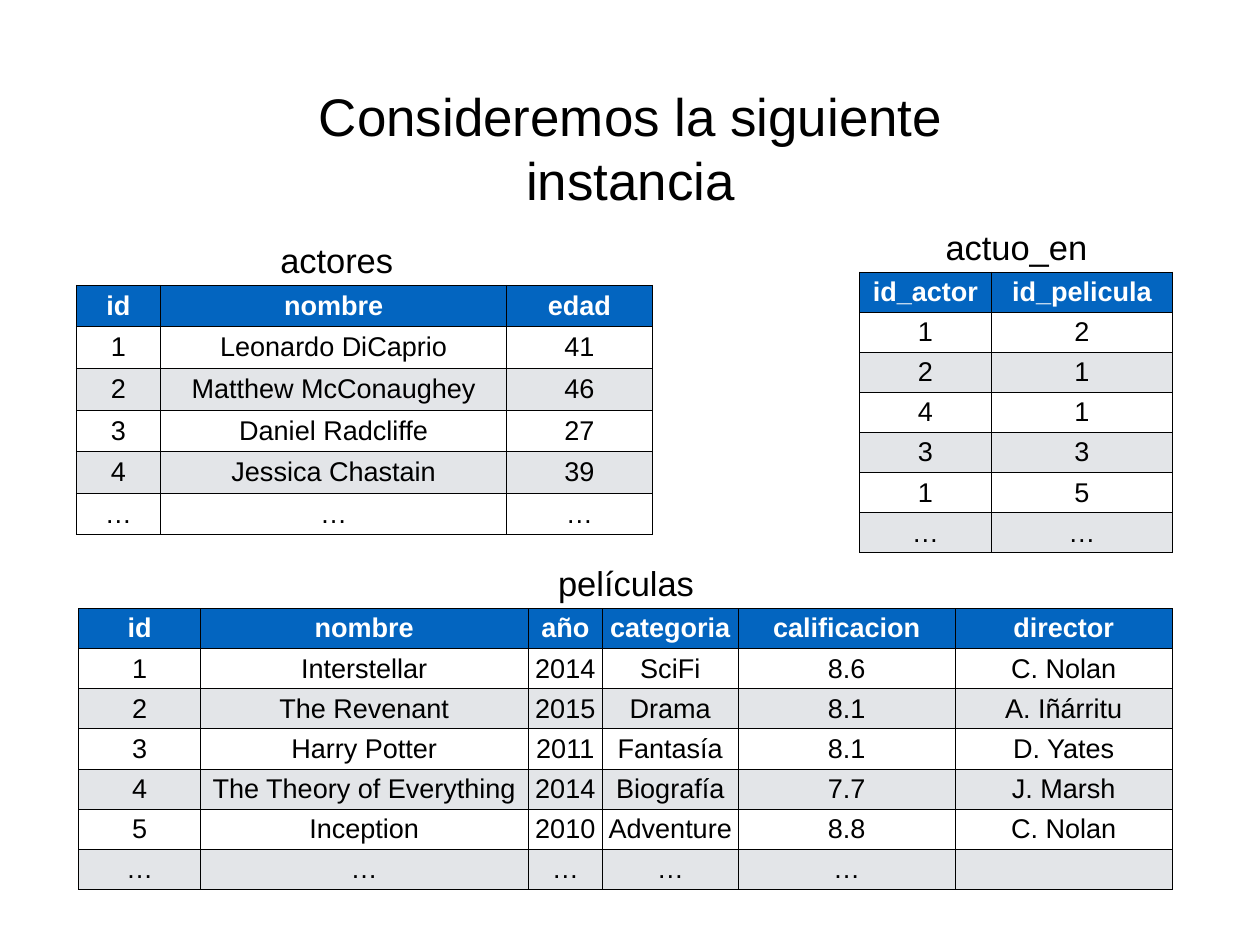
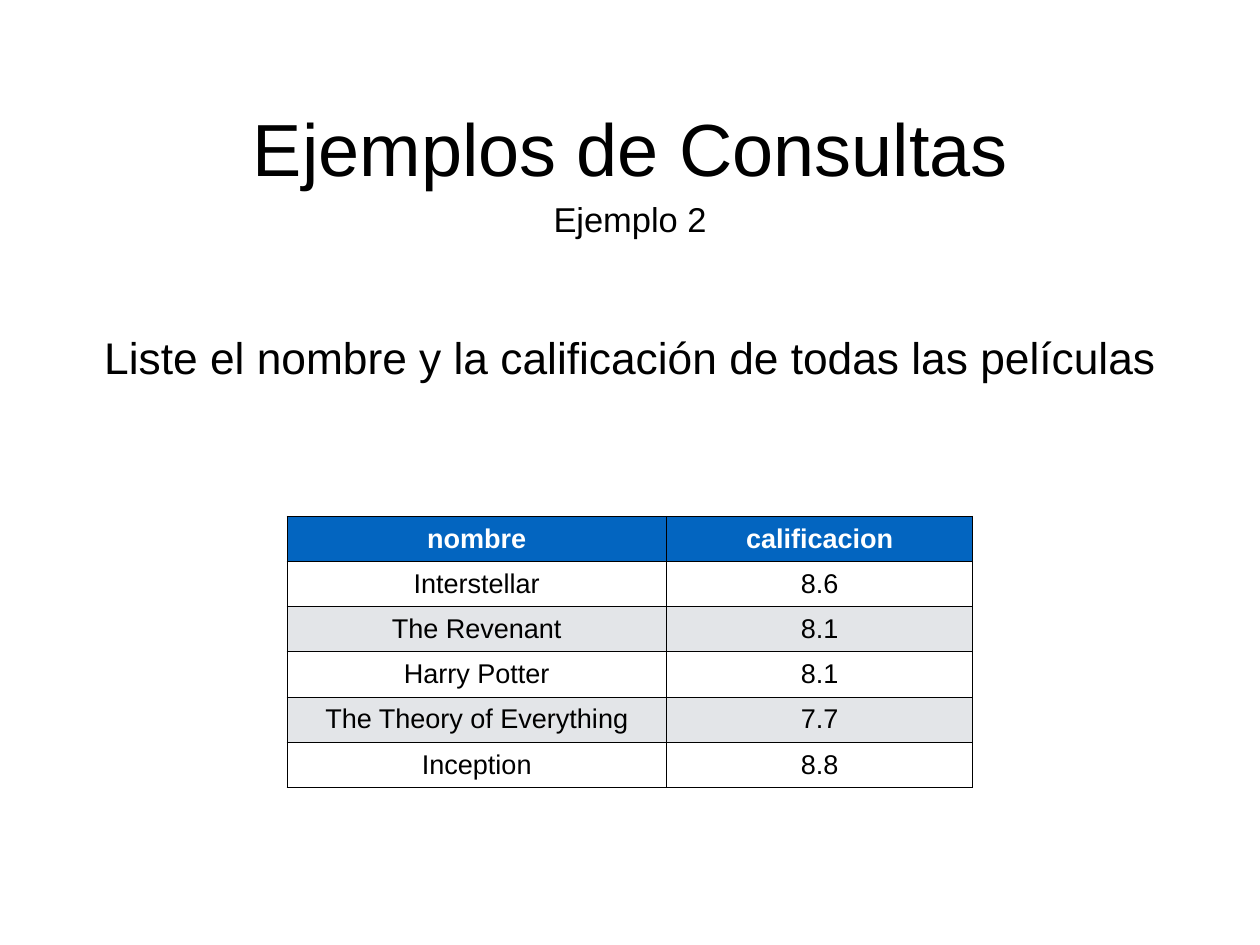
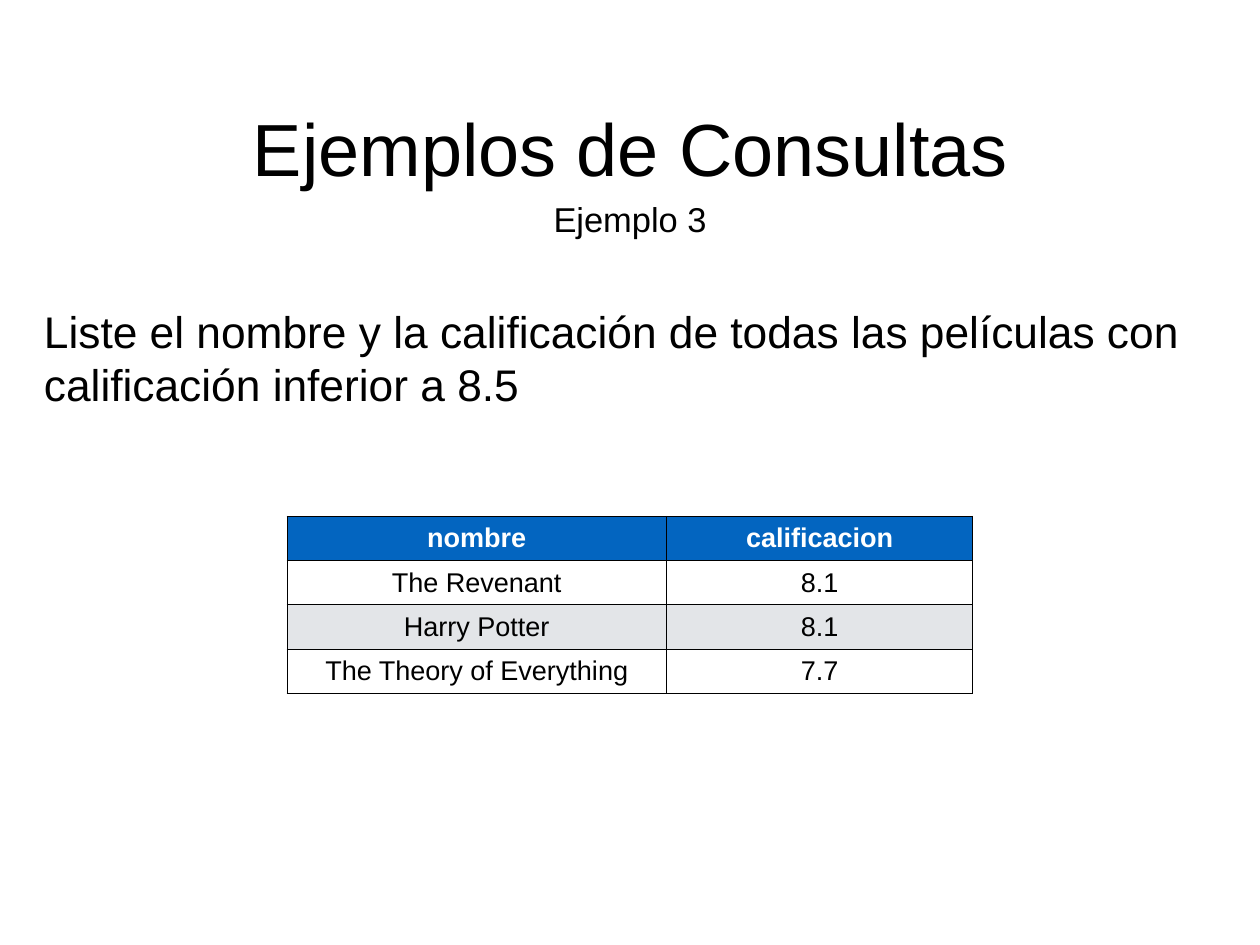
from lxml import etree
from pptx import Presentation
from pptx.dml.color import RGBColor
from pptx.enum import text
from pptx.oxml import ns
from pptx.util import Inches, Pt

BLACK = RGBColor(0x00, 0x00, 0x00)
WHITE = RGBColor(0xFF, 0xFF, 0xFF)
BLUE = RGBColor(0x03, 0x65, 0xC0)
GRAY = RGBColor(0xE3, 0xE5, 0xE8)
FONT = "Arial"
INSET = Pt(4)
BORDER = Pt(0.75)
CENTER = text.PP_ALIGN.CENTER
LEFT = text.PP_ALIGN.LEFT

TITLE_BOX = (2.77, 1.11, 8.69, 1.11)
SUBTITLE_BOX = (4.12, 2.18, 5.98, 0.58)
LABEL_HEIGHT = 0.57

# The label sits directly on top of its table.
INSTANCE = [
    dict(label="actores", label_left=2.92, label_width=1.76,
         left=0.86, top=3.22, cols=[0.95, 3.91, 1.64], row_height=0.47,
         rows=[("id", "nombre", "edad"),
               ("1", "Leonardo DiCaprio", "41"),
               ("2", "Matthew McConaughey", "46"),
               ("3", "Daniel Radcliffe", "27"),
               ("4", "Jessica Chastain", "39"),
               ("…", "…", "…")]),
    dict(label="actuo_en", label_left=10.47, label_width=2,
         left=9.7, top=3.07, cols=[1.49, 2.04], row_height=0.45,
         rows=[("id_actor", "id_pelicula"),
               ("1", "2"), ("2", "1"), ("4", "1"),
               ("3", "3"), ("1", "5"), ("…", "…")]),
    dict(label="películas", label_left=5.95, label_width=2.23,
         left=0.89, top=6.87, cols=[1.37, 3.7, 0.84, 1.53, 2.45, 2.45], row_height=0.45,
         rows=[("id", "nombre", "año", "categoria", "calificacion", "director"),
               ("1", "Interstellar", "2014", "SciFi", "8.6", "C. Nolan"),
               ("2", "The Revenant", "2015", "Drama", "8.1", "A. Iñárritu"),
               ("3", "Harry Potter", "2011", "Fantasía", "8.1", "D. Yates"),
               ("4", "The Theory of Everything", "2014", "Biografía", "7.7", "J. Marsh"),
               ("5", "Inception", "2010", "Adventure", "8.8", "C. Nolan"),
               ("…", "…", "…", "…", "…", "")]),
]

RESULT_HEADER = ("nombre", "calificacion")
EXAMPLES = [
    dict(subtitle="Ejemplo 2",
         query="Liste el nombre y la calificación de todas las películas",
         query_box=(0.44, 3.67, 13.34, 0.71), align=CENTER, row_height=0.51,
         result=[("Interstellar", "8.6"), ("The Revenant", "8.1"), ("Harry Potter", "8.1"),
                 ("The Theory of Everything", "7.7"), ("Inception", "8.8")]),
    dict(subtitle="Ejemplo 3",
         query="Liste el nombre y la calificación de todas las películas con "
               "calificación inferior a 8.5",
         query_box=(0.44, 3.38, 13.34, 1.31), align=LEFT, row_height=0.5,
         result=[("The Revenant", "8.1"), ("Harry Potter", "8.1"),
                 ("The Theory of Everything", "7.7")]),
]


def set_text(frame, words, size, color=BLACK, bold=False, align=CENTER):
    p = frame.paragraphs[0]
    p.text = words
    p.alignment = align
    p.font.name = FONT
    p.font.size = Pt(size)
    p.font.bold = bold
    p.font.color.rgb = color


def set_insets(target):
    """Same inset on all sides of a text frame or table cell, text in the middle."""
    target.margin_left = target.margin_right = INSET
    target.margin_top = target.margin_bottom = INSET
    target.vertical_anchor = text.MSO_ANCHOR.MIDDLE


def fill_box(sp, words, size, align=CENTER):
    tf = sp.text_frame
    tf.word_wrap = True
    tf.auto_size = text.MSO_AUTO_SIZE.NONE
    set_insets(tf)
    set_text(tf, words, size, align=align)


def add_text(slide, box, words, size, align=CENTER):
    fill_box(slide.shapes.add_textbox(*map(Inches, box)), words, size, align)


def add_titled_slide(prs, title, size):
    slide = prs.slides.add_slide(prs.slide_layouts[5])
    sp = slide.shapes.title
    sp.left, sp.top, sp.width, sp.height = map(Inches, TITLE_BOX)
    fill_box(sp, title, size)
    return slide


def add_borders(cell):
    tc_pr = cell._tc.get_or_add_tcPr()
    for side in ("lnL", "lnR", "lnT", "lnB"):
        line = etree.SubElement(tc_pr, ns.qn("a:" + side), w=str(BORDER))
        fill = etree.SubElement(line, ns.qn("a:solidFill"))
        etree.SubElement(fill, ns.qn("a:srgbClr"), val=str(BLACK))


def add_grid(slide, left, top, cols, row_height, rows):
    """Table with a blue header and alternating white and gray rows."""
    table = slide.shapes.add_table(
        len(rows), len(cols), Inches(left), Inches(top),
        Inches(sum(cols)), Inches(row_height * len(rows))).table
    for column, width in zip(table.columns, cols):
        column.width = Inches(width)
    for i, values in enumerate(rows):
        table.rows[i].height = Inches(row_height)
        header = i == 0
        fill = BLUE if header else WHITE if i % 2 else GRAY
        for j, value in enumerate(values):
            cell = table.cell(i, j)
            set_insets(cell)
            add_borders(cell)
            cell.fill.solid()
            cell.fill.fore_color.rgb = fill
            set_text(cell.text_frame, value, 22, WHITE if header else BLACK, header)


def main():
    prs = Presentation()
    prs.slide_width, prs.slide_height = Inches(14.22), Inches(10.67)

    slide = add_titled_slide(prs, "Consideremos la siguiente instancia", 43)
    for t in INSTANCE:
        add_grid(slide, t["left"], t["top"], t["cols"], t["row_height"], t["rows"])
        label_box = (t["label_left"], t["top"] - LABEL_HEIGHT, t["label_width"], LABEL_HEIGHT)
        add_text(slide, label_box, t["label"], 28)

    for e in EXAMPLES:
        slide = add_titled_slide(prs, "Ejemplos de Consultas", 60)
        add_text(slide, SUBTITLE_BOX, e["subtitle"], 28)
        add_text(slide, e["query_box"], e["query"], 36, e["align"])
        add_grid(slide, 3.24, 5.83, [4.28, 3.46], e["row_height"],
                 [RESULT_HEADER] + e["result"])

    prs.save("out.pptx")


if __name__ == "__main__":
    main()
